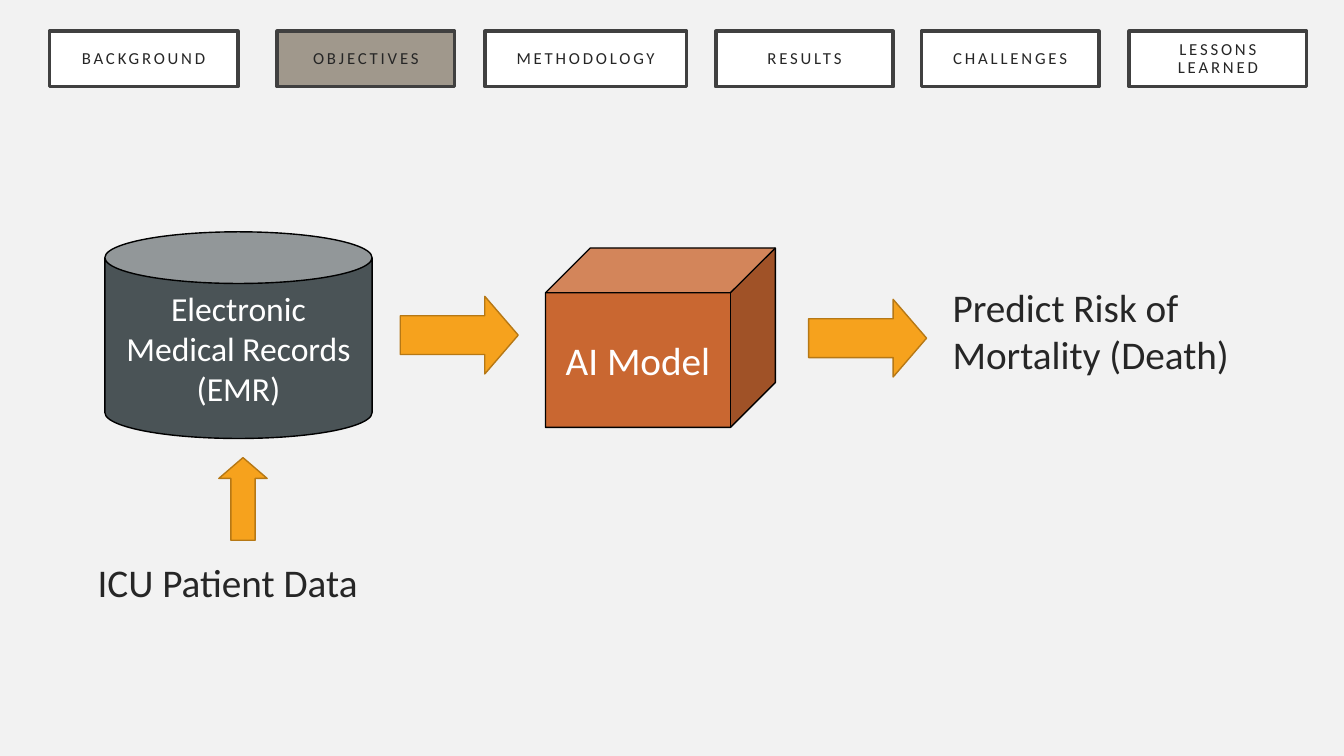
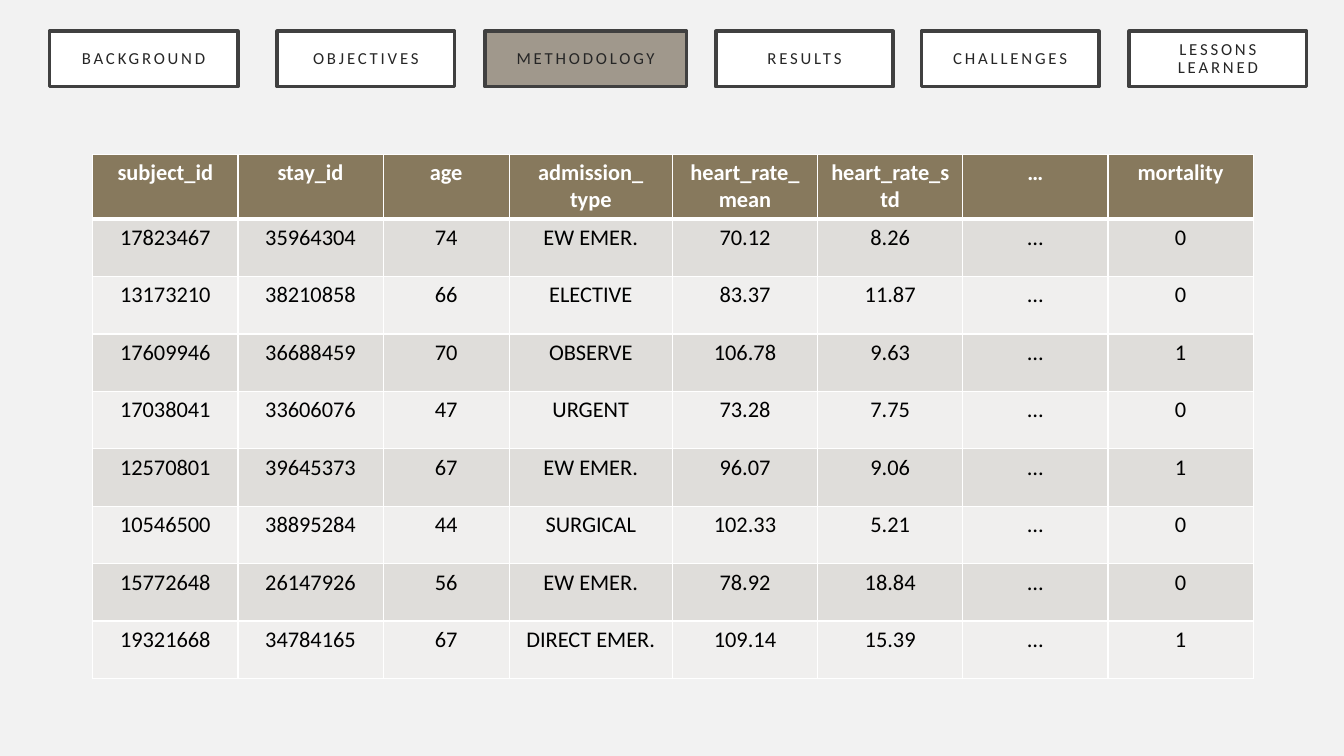
"""Build the objectives and methodology slides of an ICU mortality prediction talk."""
from lxml import etree
from pptx import Presentation, util as u
from pptx.dml.color import RGBColor
from pptx.enum import shapes, text
from pptx.oxml.ns import qn

FONT = "Calibri"
COLORS = {
    "page": "F2F2F2", "white": "FFFFFF", "black": "000000", "ink": "262626",
    "frame": "404040", "current": "A0988C",
    "arrow": "F6A21D", "arrow_edge": "B67815", "records": "4A5356", "model": "C96731",
    "header": "87795D", "band_dark": "DFDDDA", "band_light": "F0EFEE",
}
TABS = [
    ("BACKGROUND", 0.49, 1.87), ("OBJECTIVES", 2.75, 1.76), ("METHODOLOGY", 4.81, 2),
    ("RESULTS", 7.1, 1.76), ("CHALLENGES", 9.14, 1.76), ("LESSONS\nLEARNED", 11.2, 1.76),
]
TAB_TOP, TAB_HEIGHT = 0.31, 0.55

SOLIDS = [
    ("Electronic Medical Records (EMR)", shapes.MSO_SHAPE.CAN, "records", 24, (1.04, 2.3, 2.65, 2.05)),
    ("AI Model", shapes.MSO_SHAPE.CUBE, "model", 28, (5.41, 2.46, 2.28, 1.78)),
]
LABELS = [
    ("Predict Risk of Mortality (Death)", (9.35, 2.76, 3.23, 1.04)),
    ("ICU Patient Data", (0.87, 5.49, 3.07, 0.57)),
]
ARROWS = [
    ((3.97, 2.94, 1.17, 0.77), 0),
    ((8.02, 2.97, 1.17, 0.77), 0),
    ((2, 4.71, 0.82, 0.48), 270),
]

COLUMNS = [
    ("subject_id", 1.44), ("stay_id", 1.44), ("age", 1.25), ("admission_\vtype", 1.62),
    ("heart_rate_mean", 1.44), ("heart_rate_std", 1.44), ("…", 1.44), ("mortality", 1.44),
]
PATIENTS = [
    ("17823467", "35964304", "74", "EW EMER.", "70.12", "8.26", "…", "0"),
    ("13173210", "38210858", "66", "ELECTIVE", "83.37", "11.87", "…", "0"),
    ("17609946", "36688459", "70", "OBSERVE", "106.78", "9.63", "…", "1"),
    ("17038041", "33606076", "47", "URGENT", "73.28", "7.75", "…", "0"),
    ("12570801", "39645373", "67", "EW EMER.", "96.07", "9.06", "…", "1"),
    ("10546500", "38895284", "44", "SURGICAL", "102.33", "5.21", "…", "0"),
    ("15772648", "26147926", "56", "EW EMER.", "78.92", "18.84", "…", "0"),
    ("19321668", "34784165", "67", "DIRECT EMER.", "109.14", "15.39", "…", "1"),
]
TABLE_LEFT, TABLE_TOP, ROW_HEIGHT = 0.92, 1.53, 0.57


def color(name):
    return RGBColor.from_string(COLORS[name])


def inches(box):
    return [u.Inches(length) for length in box]


def paint(shape, fill, line, width):
    shape.fill.solid()
    shape.fill.fore_color.rgb = color(fill)
    shape.line.color.rgb = color(line)
    shape.line.width = u.Pt(width)


def write(frame, words, size, ink, align=text.PP_ALIGN.CENTER, bold=False, spacing=None, leading=None):
    frame.word_wrap = True
    for i, line in enumerate(words.split("\n")):
        paragraph = frame.paragraphs[0] if i == 0 else frame.add_paragraph()
        paragraph.alignment = align
        if leading:
            paragraph.line_spacing = leading
        for j, part in enumerate(line.split("\v")):
            if j:
                paragraph.add_line_break()
            run = paragraph.add_run()
            run.text = part
            run.font.name, run.font.size, run.font.bold = FONT, u.Pt(size), bold
            run.font.color.rgb = color(ink)
            if spacing:
                run._r.get_or_add_rPr().set("spc", str(spacing * 100))


def add_shape(slide, kind, box):
    shape = slide.shapes.add_shape(kind, *inches(box))
    shape.shadow.inherit = False
    return shape


def add_tabbed_slide(prs, current):
    slide = prs.slides.add_slide(prs.slide_layouts[5])
    for i, (name, left, width) in enumerate(TABS):
        box = (left, TAB_TOP, width, TAB_HEIGHT)
        if i == 0:
            tab = slide.shapes.title
            tab.left, tab.top, tab.width, tab.height = inches(box)
        else:
            tab = add_shape(slide, shapes.MSO_SHAPE.RECTANGLE, box)
        paint(tab, "current" if name == current else "white", "frame", 2.5)
        frame = tab.text_frame
        frame.auto_size = text.MSO_AUTO_SIZE.NONE
        frame.vertical_anchor = text.MSO_ANCHOR.MIDDLE
        frame.margin_left = frame.margin_right = frame.margin_top = frame.margin_bottom = u.Inches(0.2)
        write(frame, name, 12, "ink", spacing=2, leading=0.9)
    return slide


def add_objectives(prs):
    slide = add_tabbed_slide(prs, "OBJECTIVES")
    for words, kind, fill, size, box in SOLIDS:
        solid = add_shape(slide, kind, box)
        paint(solid, fill, "black", 1)
        solid.text_frame.vertical_anchor = text.MSO_ANCHOR.MIDDLE
        write(solid.text_frame, words, size, "white")
    for box, rotation in ARROWS:
        arrow = add_shape(slide, shapes.MSO_SHAPE.RIGHT_ARROW, box)
        paint(arrow, "arrow", "arrow_edge", 1)
        arrow.adjustments[1] = 0.43
        arrow.rotation = rotation
    for words, box in LABELS:
        frame = slide.shapes.add_textbox(*inches(box)).text_frame
        write(frame, words, 28, "ink", text.PP_ALIGN.LEFT)
        frame.auto_size = text.MSO_AUTO_SIZE.SHAPE_TO_FIT_TEXT


def set_borders(cell, top, bottom):
    properties = cell._tc.get_or_add_tcPr()
    for i, (side, width) in enumerate((("L", 1), ("R", 1), ("T", top), ("B", bottom))):
        border = etree.Element(qn("a:ln" + side), w=str(u.Pt(width)))
        fill = etree.SubElement(border, qn("a:solidFill"))
        etree.SubElement(fill, qn("a:srgbClr"), val=COLORS["white"])
        properties.insert(i, border)


def add_methodology(prs):
    slide = add_tabbed_slide(prs, "METHODOLOGY")
    names, widths = zip(*COLUMNS)
    rows = [names, *PATIENTS]
    box = (TABLE_LEFT, TABLE_TOP, sum(widths), ROW_HEIGHT * len(rows))
    table = slide.shapes.add_table(len(rows), len(names), *inches(box)).table
    table.horz_banding = False
    for column, width in zip(table.columns, widths):
        column.width = u.Inches(width)
    for r, values in enumerate(rows):
        table.rows[r].height = u.Inches(ROW_HEIGHT)
        fill = "header" if r == 0 else "band_dark" if r % 2 else "band_light"
        for c, value in enumerate(values):
            cell = table.cell(r, c)
            cell.fill.solid()
            cell.fill.fore_color.rgb = color(fill)
            set_borders(cell, 3 if r == 1 else 1, 3 if r == 0 else 1)
            write(cell.text_frame, value, 16, "black" if r else "white", bold=r == 0)


def main():
    prs = Presentation()
    prs.slide_width, prs.slide_height = inches((13.33, 7.5))
    background = prs.slide_master.background.fill
    background.solid()
    background.fore_color.rgb = color("page")
    add_objectives(prs)
    add_methodology(prs)
    prs.save("out.pptx")


if __name__ == "__main__":
    main()
